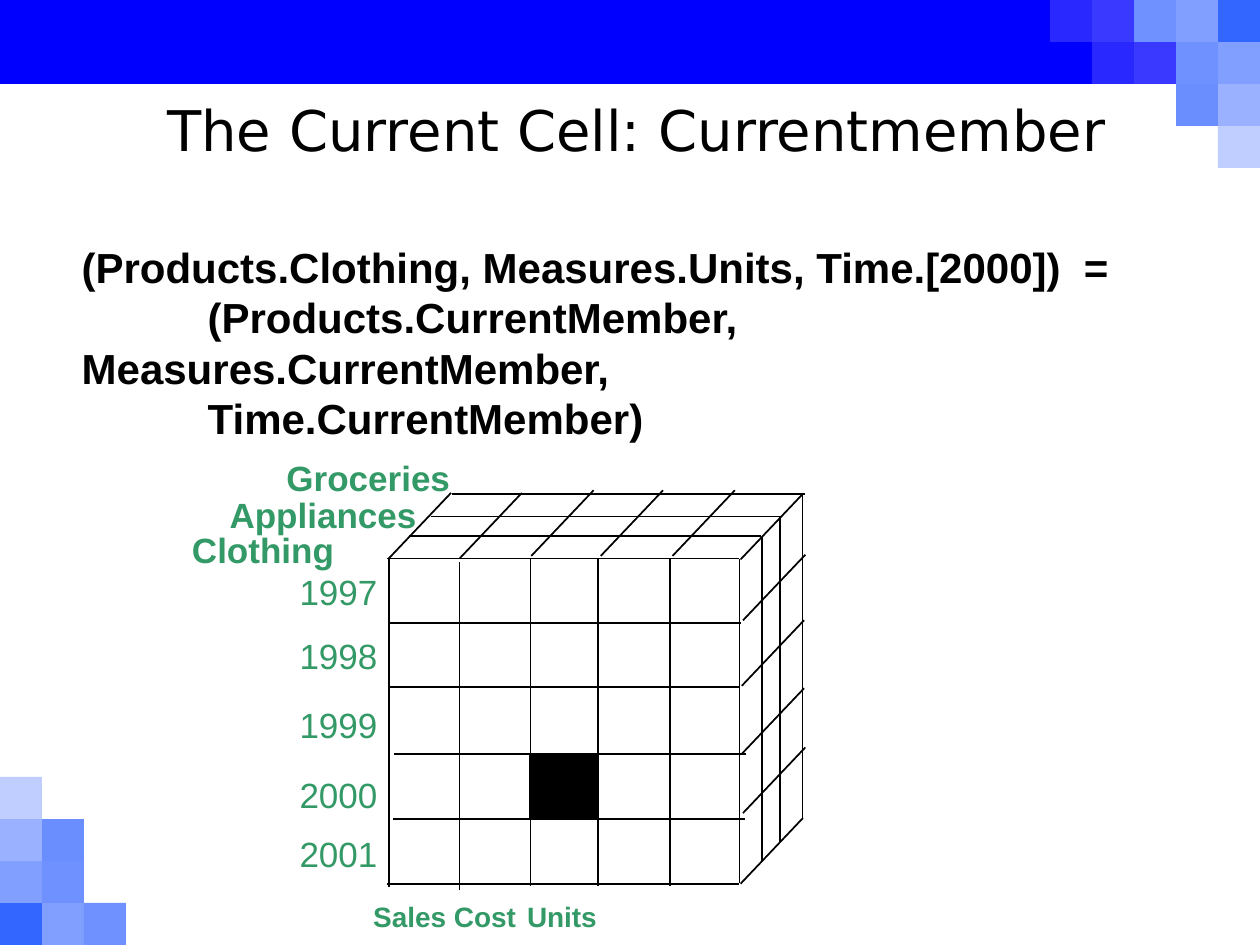
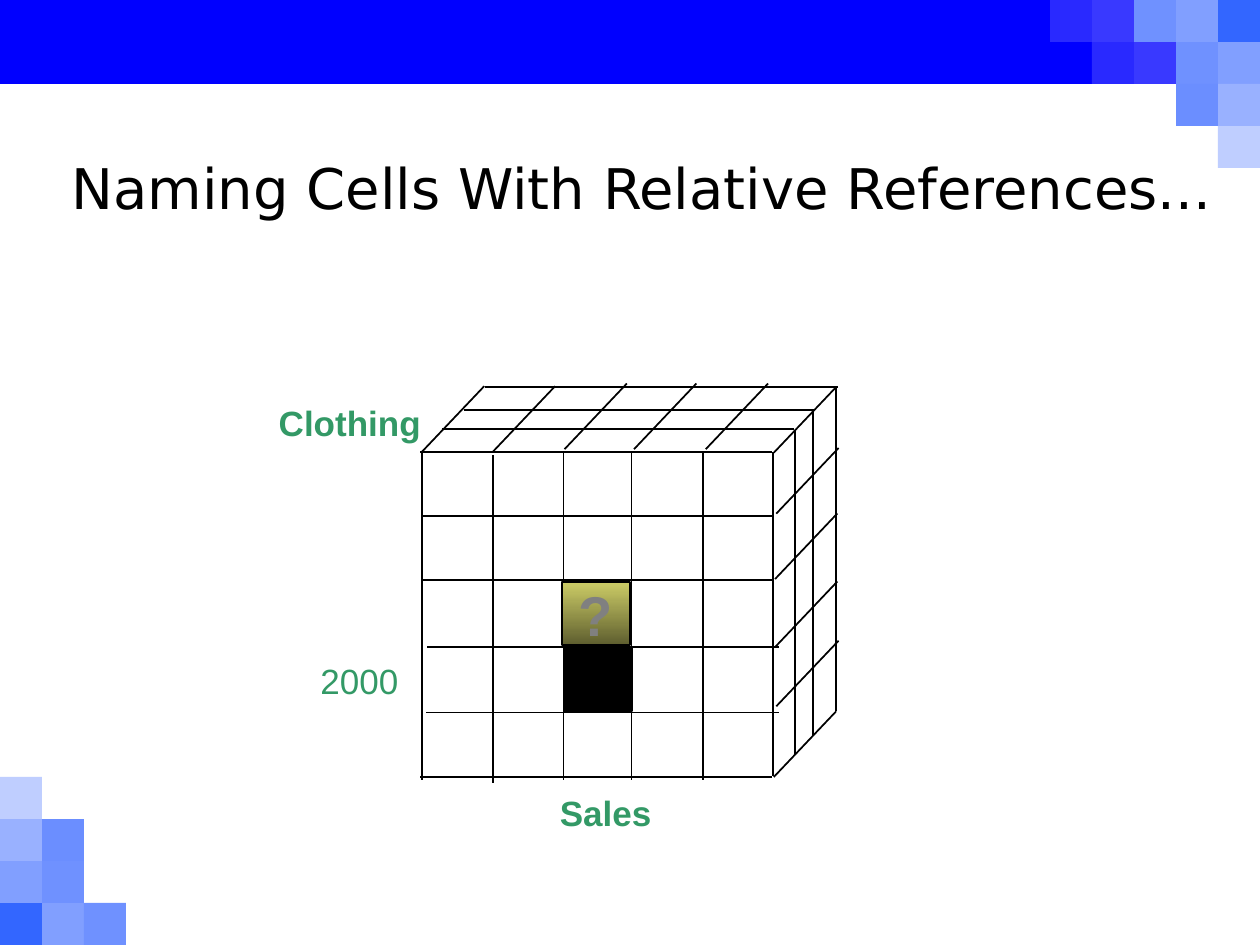
from lxml import etree
from pptx import Presentation
from pptx.dml.color import RGBColor
from pptx.enum import shapes, text
from pptx.oxml import ns
from pptx.util import Pt

WIDE, HIGH, TILE = 720, 540, 24
BLACK, GREEN = "000000", "339966"
TILES = {
    (0, 0): "3366FF", (1, 0): "819FFF", (2, 0): "6F91FF",
    (0, 1): "819FFF", (1, 1): "6F91FF",
    (0, 2): "99B1FF", (1, 2): "6B8EFF",
    (0, 3): "BFCEFF",
}
BLEND = {(3, 0): "3939FF", (4, 0): "2929FF", (2, 1): "3939FF", (3, 1): "2929FF"}
CELL = (39, 36)
SLANT = (35.6, -37.5)


def hue(code):
    """Turn a hex string into a colour."""
    return RGBColor.from_string(code)


def block(parent, x, y, w, h, fill, edge=None):
    """Add a plain rectangle, outlined if an edge colour is given."""
    box = parent.shapes.add_shape(
        shapes.MSO_SHAPE.RECTANGLE, Pt(x), Pt(y), Pt(w), Pt(h))
    box.shadow.inherit = False
    box.fill.solid()
    box.fill.fore_color.rgb = hue(fill)
    if edge:
        box.line.color.rgb = hue(edge)
        box.line.width = Pt(1)
    else:
        box.line.fill.background()
    return box


def style(para, size, color, bold=False, font="Arial"):
    """Set the font of one paragraph."""
    para.font.name = font
    para.font.size = Pt(size)
    para.font.bold = bold
    para.font.color.rgb = hue(color)


def write(slide, words, x, y, w, h, wrap=True):
    """Add a text box and return its frame."""
    frame = slide.shapes.add_textbox(Pt(x), Pt(y), Pt(w), Pt(h)).text_frame
    frame.word_wrap = wrap
    frame.text = words
    return frame


def title(slide, words, x, y, w, h):
    """Add the centred slide title."""
    frame = write(slide, words, x, y, w, h)
    frame.vertical_anchor = text.MSO_ANCHOR.MIDDLE
    para = frame.paragraphs[0]
    para.alignment = text.PP_ALIGN.CENTER
    style(para, 32, BLACK, font="DejaVu Sans")


def label(slide, words, x, y, w, size=20, bold=True):
    """Add a green label that does not wrap."""
    frame = write(slide, words, x, y, w, 1.22 * size + 7.2, wrap=False)
    frame.auto_size = text.MSO_AUTO_SIZE.SHAPE_TO_FIT_TEXT
    style(frame.paragraphs[0], size, GREEN, bold)


def frame_deck(slide):
    """Draw the top band and the tiles in two corners."""
    block(slide, 0, 0, WIDE, 48, "0000FF")
    top, foot = (slide.shapes.add_group_shape() for _ in range(2))
    for (col, row), fill in (TILES | BLEND).items():
        block(top, WIDE - (col + 1) * TILE, row * TILE, TILE, TILE, fill)
    for (col, row), fill in TILES.items():
        block(foot, col * TILE, HIGH - (row + 1) * TILE, TILE, TILE, fill)


def face(slide, left, top, lines):
    """Draw one face of the cube from starts and extents of its lines."""
    group = slide.shapes.add_group_shape()
    for x, y, dx, dy in lines:
        x, y = left + x, top + y
        line = group.shapes.add_connector(
            shapes.MSO_CONNECTOR.STRAIGHT, Pt(x), Pt(y), Pt(x + dx), Pt(y + dy))
        line.line.color.rgb = hue(BLACK)
        line.line.width = Pt(1)
        etree.SubElement(line.element.spPr, ns.qn("a:effectLst"))


def cube(slide, left, top):
    """Draw the cube with the top left corner of its front at the point."""
    lid = [(24.5, -24, 200, 0), (36.7, -37, 201.5, 0), (12.2, -13, 201, 0)]
    lid += [(x, y, *SLANT) for x, y in (
        (0.5, 0), (41, 0), (82, -1.5), (121.7, -1.5), (162.7, -1.5), (201.6, 0.5))]
    side = [(x, y, 0, 185.5) for x, y in ((213.8, -12.2), (224, -23.8), (237, -37.4))]
    side += [(x, y, *SLANT) for x, y in (
        (203, 35.3), (202.3, 72.7), (202.3, 111.6), (203, 145.4), (201.6, 185.8))]
    front = [(x, y, 0, 187.3) for x, y in (
        (0.5, 0.5), (41, 2), (81.5, 0), (120.3, 0), (161.3, 0))]
    front += [(201, 0, 0, 185.5)]
    front += [(x, y, 201.3, 0) for x, y in (
        (-0.5, 0), (0.5, 36.7), (0, 73.4), (3.5, 111.6), (3, 149), (-0.5, 185.8))]
    for lines in (lid, side, front):
        face(slide, left, top, lines)
    block(slide, left + 81.4, top + 112.3, *CELL, BLACK, BLACK)


def query(slide, left, top):
    """Add the shaded cell with a question mark."""
    box = block(slide, left, top, *CELL, "CCCC66", BLACK)
    box.fill.gradient()
    box.fill.gradient_angle = 270
    for stop, code in zip(box.fill.gradient_stops, ("CCCC66", "5E5E2F")):
        stop.color.rgb = hue(code)
    frame = box.text_frame
    frame.word_wrap = False
    frame.vertical_anchor = text.MSO_ANCHOR.MIDDLE
    frame.text = "?"
    para = frame.paragraphs[0]
    para.alignment = text.PP_ALIGN.CENTER
    style(para, 32, "808080", True)


def tab_stops(para):
    """Give a paragraph left tab stops every 72 points."""
    stops = etree.SubElement(para._p.get_or_add_pPr(), ns.qn("a:tabLst"))
    for step in range(1, 8):
        etree.SubElement(
            stops, ns.qn("a:tab"), pos=str(int(Pt(72 * step))), algn="l")


def tuples(slide, x, y, w, h):
    """Write the expression for the current cell."""
    frame = write(slide, "\n".join((
        "(Products.Clothing, Measures.Units, Time.[2000])  =",
        "\t(Products.CurrentMember, \tMeasures.CurrentMember,",
        "\tTime.CurrentMember)")), x, y, w, h)
    for para in frame.paragraphs:
        para.line_spacing = Pt(28.8)
        tab_stops(para)
        style(para, 24, BLACK, True)


def current(slide, left, top):
    """Fill the slide on the current cell, its cube at the given point."""
    cube(slide, left, top)
    for year, y in zip(range(1997, 2002), (3, 40, 79, 119, 153)):
        label(slide, str(year), left - 57.5, top + y, 61, bold=False)
    for name, x, y, w in (("Groceries", -65, -62, 110),
                          ("Appliances", -97.5, -41, 124),
                          ("Clothing", -119, -21, 98)):
        label(slide, name, left + x, top + y, w)
    for name, x, w in (("Sales", -15.4, 59), ("Cost", 30.7, 53), ("Units", 72.5, 58)):
        label(slide, name, left + x, top + 191.5, w, 16)
    tuples(slide, 39.6, 134.4, 666, 122.4)
    title(slide, "The Current Cell: Currentmember", 30, 18, 668, 111)


def relative(slide, left, top):
    """Fill the slide on relative references, its cube at the given point."""
    cube(slide, left, top)
    label(slide, "2000", left - 64.6, top + 115, 61, bold=False)
    label(slide, "Clothing", left - 88.4, top - 32.6, 98)
    label(slide, "Sales", left + 72.2, top + 190.6, 70)
    query(slide, left + 80.5, top + 74.5)
    title(slide, "Naming Cells With Relative References...", 0, 84, 734, 45.5)


def main():
    """Build and save the deck."""
    deck = Presentation()
    deck.slide_width, deck.slide_height = Pt(WIDE), Pt(HIGH)
    for fill, left, top in ((current, 221.6, 319.2), (relative, 240.6, 258.2)):
        slide = deck.slides.add_slide(deck.slide_layouts[6])
        frame_deck(slide)
        fill(slide, left, top)
    deck.save("out.pptx")


if __name__ == "__main__":
    main()
